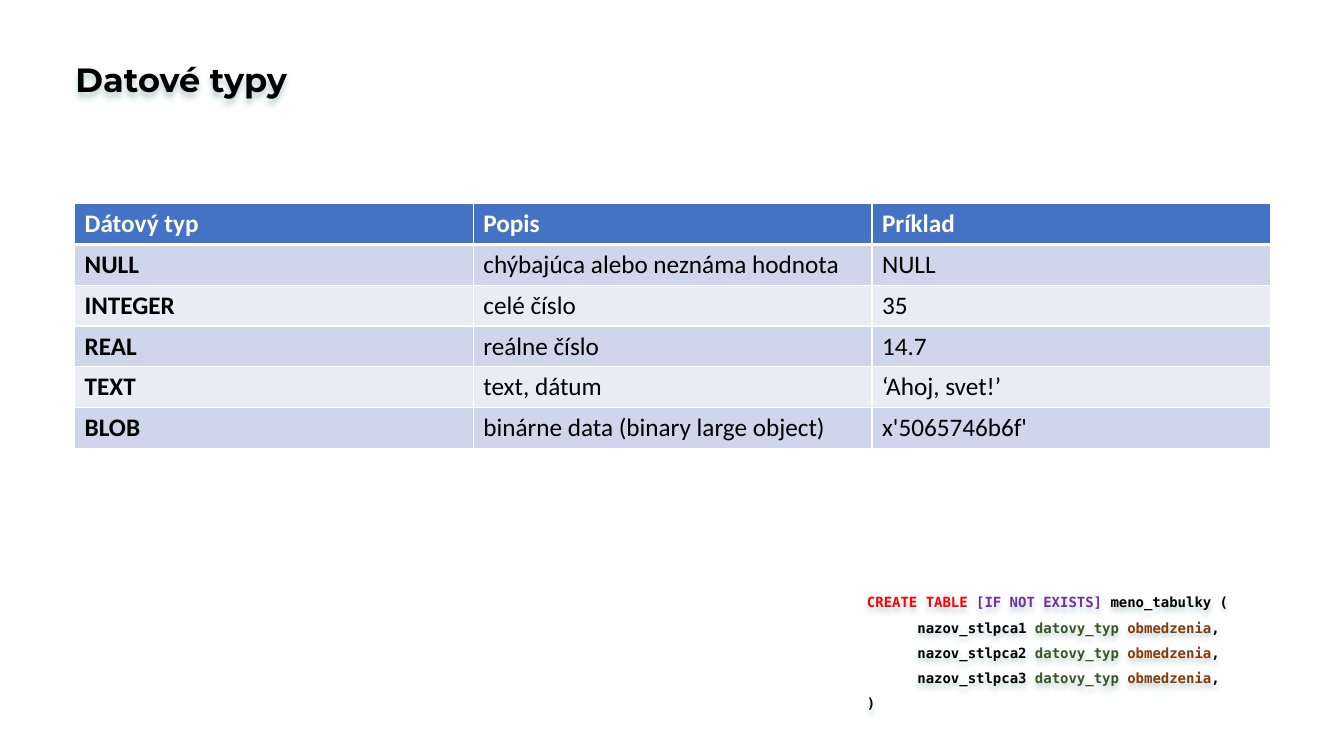
from lxml.etree import SubElement
from pptx import Presentation
from pptx.dml.color import RGBColor
from pptx.enum.text import MSO_ANCHOR
from pptx.oxml.ns import qn
from pptx.util import Inches, Pt

WIDTH, HEIGHT = Inches(13.33), Inches(7.5)
BLACK, WHITE, RED, PURPLE = "000000", "FFFFFF", "FF0000", "7030A0"
GREEN, BROWN = "385723", "843C0B"
HEADER_FILL, BAND_FILLS = "4472C4", ("CFD5EA", "E9EBF5")

TYPE_ROWS = [
    ("Dátový typ", "Popis", "Príklad"),
    ("NULL", "chýbajúca alebo neznáma hodnota", "NULL"),
    ("INTEGER", "celé číslo", "35"),
    ("REAL", "reálne číslo", "14.7"),
    ("TEXT", "text, dátum", "‘Ahoj, svet!’"),
    ("BLOB", "binárne data (binary large object)", "x'5065746b6f'"),
]


def color(value):
    return RGBColor.from_string(value)


def place(left, top, width, height):
    return (
        int(WIDTH * left / 100),
        int(HEIGHT * top / 100),
        int(WIDTH * width / 100),
        int(HEIGHT * height / 100),
    )


def add_text(para, text, size=18, font="Calibri", fill=BLACK, bold=False):
    span = para.add_run()
    span.text = text
    span.font.size = Pt(size)
    span.font.name = font
    span.font.bold = bold
    span.font.color.rgb = color(fill)


def add_soft_shadow(box):
    effects = SubElement(box._element.spPr, qn("a:effectLst"))
    shadow = SubElement(effects, qn("a:outerShdw"), blurRad="50800", dist="38100", dir="5400000")
    tint = SubElement(shadow, qn("a:srgbClr"), val="5F8F8F")
    SubElement(tint, qn("a:alpha"), val="40000")


def add_text_box(page, area, lines, spacing, **text_format):
    box = page.shapes.add_textbox(*place(*area))
    add_soft_shadow(box)
    frame = box.text_frame
    frame.word_wrap = True
    frame.vertical_anchor = MSO_ANCHOR.BOTTOM
    frame.margin_left = frame.margin_right = Inches(0.1)
    frame.margin_top = frame.margin_bottom = Inches(0.1)
    for index, line in enumerate(lines):
        para = frame.add_paragraph() if index else frame.paragraphs[0]
        para.line_spacing = spacing
        for text, fill in line:
            add_text(para, text, fill=fill, bold=True, **text_format)


def add_borders(cell, bottom):
    properties = cell._tc.get_or_add_tcPr()
    for position, (side, points) in enumerate(
        (("lnL", 1), ("lnR", 1), ("lnT", 1), ("lnB", bottom))
    ):
        border = properties.makeelement(qn(f"a:{side}"), {"w": str(Pt(points))})
        SubElement(SubElement(border, qn("a:solidFill")), qn("a:srgbClr"), val=WHITE)
        properties.insert(position, border)


def add_type_table(page, area, rows):
    table = page.shapes.add_table(len(rows), len(rows[0]), *place(*area)).table
    for row, values in enumerate(rows):
        header = row == 0
        for column, text in enumerate(values):
            cell = table.cell(row, column)
            cell.fill.solid()
            cell.fill.fore_color.rgb = color(HEADER_FILL if header else BAND_FILLS[(row - 1) % 2])
            add_borders(cell, bottom=3 if header else 1)
            add_text(
                cell.text_frame.paragraphs[0],
                text,
                fill=WHITE if header else BLACK,
                bold=header or column == 0,
            )


def column_line(number):
    return [
        (f"\tnazov_stlpca{number} ", BLACK),
        ("datovy_typ ", GREEN),
        ("obmedzenia", BROWN),
        (",", BLACK),
    ]


def main():
    deck = Presentation()
    deck.slide_width, deck.slide_height = WIDTH, HEIGHT
    page = deck.slides.add_slide(deck.slide_layouts[6])
    add_text_box(
        page, (4.88, 7.73, 58.29, 6.8), [[("Datové typy", BLACK)]], 0.9, size=24, font="Montserrat"
    )
    statement = [
        [("CREATE TABLE ", RED), ("[IF NOT EXISTS] ", PURPLE), ("meno_tabulky (", BLACK)],
        *[column_line(number) for number in range(1, 4)],
        [(")", BLACK)],
    ]
    add_text_box(
        page, (63.77, 73.07, 33.98, 22.4), statement, 1.5, size=10, font="DejaVu Sans Mono"
    )
    add_type_table(page, (5.55, 26.93, 89, 32.4), TYPE_ROWS)
    deck.save("out.pptx")


if __name__ == "__main__":
    main()
